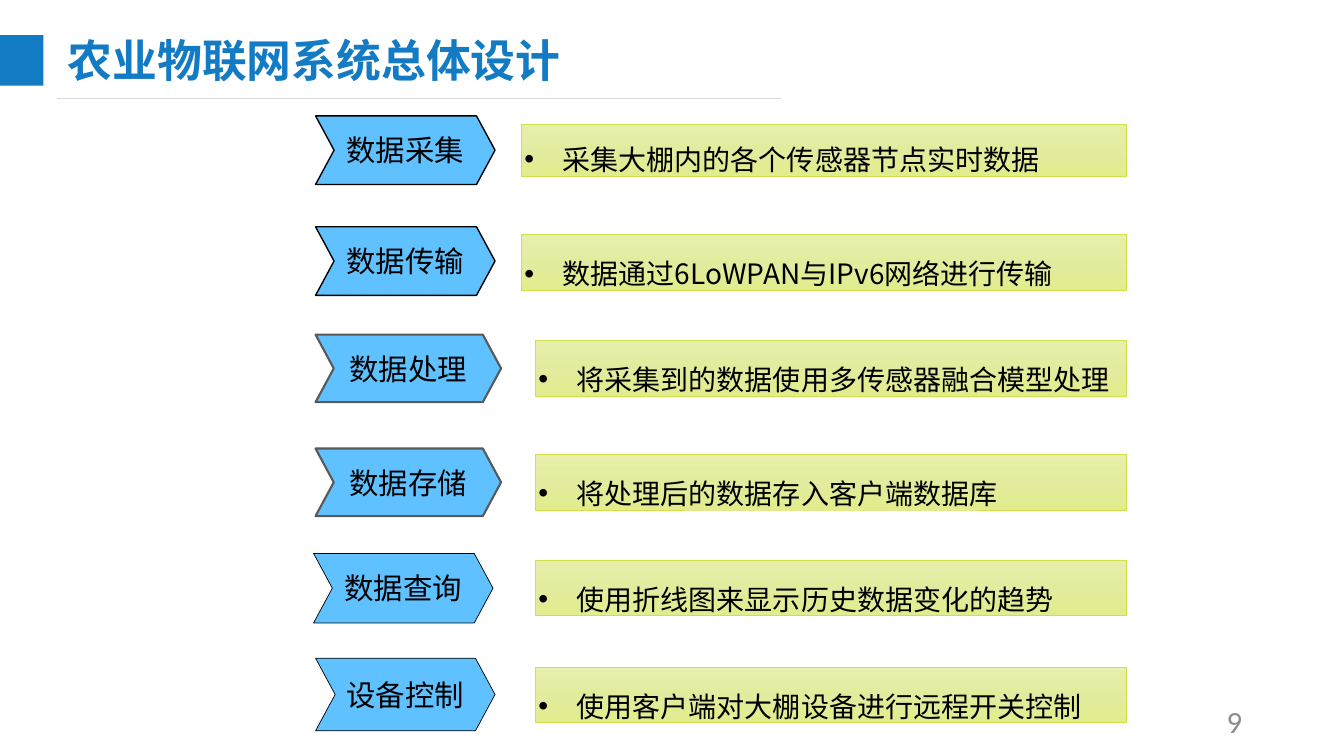
from copy import deepcopy

from lxml import etree
from pptx import Presentation
from pptx.dml.color import RGBColor
from pptx.enum.shapes import MSO_CONNECTOR, MSO_SHAPE
from pptx.enum.text import MSO_ANCHOR, MSO_AUTO_SIZE, PP_ALIGN
from pptx.oxml.ns import qn
from pptx.util import Inches, Pt

CHEVRON, RECTANGLE = MSO_SHAPE.CHEVRON, MSO_SHAPE.RECTANGLE
STRAIGHT = MSO_CONNECTOR.STRAIGHT
TOP, MIDDLE = MSO_ANCHOR.TOP, MSO_ANCHOR.MIDDLE
LEFT, CENTER, RIGHT = PP_ALIGN.LEFT, PP_ALIGN.CENTER, PP_ALIGN.RIGHT
NO_FIT = MSO_AUTO_SIZE.NONE

CJK_FONT = "Noto Sans CJK SC"
COLORS = {
    "title": "137AC4",
    "rule": "D9D9D9",
    "step": "5FC1FF",
    "black": "000000",
    "gray": "595959",
    "number": "8C8C8C",
    "detail_line": "D2DF4C",
}
DETAIL_GRADIENT = [(0, "E8EFAC"), (0.5, "E3EB9E"), (1, "E2EC8C")]

NARROW_STEP = (3.13, 1.78, 0.68, "black", 1)
WIDE_STEP = (3.13, 1.84, 0.67, "gray", 1.5)
LOW_STEP = (3.11, 1.78, 0.69, "black", 0.5)
TALL_STEP = (3.13, 1.78, 0.72, "black", 0.5)
FIRST_DETAIL = (5.17, 0.52, 1.4)
LONG_DETAIL = (5.17, 0.55, 1.5)
SHORT_DETAIL = (5.31, 0.55, 1.5)
DETAIL_RIGHT = 11.17
STAGES = [
    ("数据采集", 1.15, NARROW_STEP, "采集大棚内的各个传感器节点实时数据", 1.23, FIRST_DETAIL),
    ("数据传输", 2.25, NARROW_STEP, "数据通过6LoWPAN与IPv6网络进行传输", 2.33, LONG_DETAIL),
    ("数据处理", 3.32, WIDE_STEP, "将采集到的数据使用多传感器融合模型处理", 3.38, SHORT_DETAIL),
    ("数据存储", 4.45, WIDE_STEP, "将处理后的数据存入客户端数据库", 4.51, SHORT_DETAIL),
    ("数据查询", 5.49, LOW_STEP, "使用折线图来显示历史数据变化的趋势", 5.56, SHORT_DETAIL),
    ("设备控制", 6.53, TALL_STEP, "使用客户端对大棚设备进行远程开关控制", 6.62, SHORT_DETAIL),
]


def rgb(name):
    return RGBColor.from_string(COLORS[name])


def write_text(shape, text, size, color="black", font=CJK_FONT, bold=False, align=LEFT,
               anchor=TOP, insets=(0.1, 0.05), spacing=None, bullet_indent=None):
    frame = shape.text_frame
    frame.word_wrap = True
    frame.auto_size = NO_FIT
    frame.vertical_anchor = anchor
    frame.margin_left = frame.margin_right = Inches(insets[0])
    frame.margin_top = frame.margin_bottom = Inches(insets[1])
    paragraph = frame.paragraphs[0]
    paragraph.alignment = align
    if spacing:
        paragraph.line_spacing = spacing
    if bullet_indent:
        properties = paragraph._p.get_or_add_pPr()
        properties.set("marL", str(Inches(bullet_indent)))
        properties.set("indent", str(-Inches(bullet_indent)))
        etree.SubElement(properties, qn("a:buFont")).set("typeface", "Arial")
        etree.SubElement(properties, qn("a:buChar")).set("char", "•")
    run = paragraph.add_run()
    run.text = text
    run.font.size = Pt(size)
    run.font.bold = bold
    run.font.color.rgb = rgb(color)
    run.font.name = font
    east_asian = etree.SubElement(run._r.get_or_add_rPr(), qn("a:ea"))
    east_asian.set("typeface", font)


def add_block(slide, kind, left, top, width, height, fill=None, line=None, line_width=0.5):
    shape = slide.shapes.add_shape(kind, Inches(left), Inches(top), Inches(width), Inches(height))
    shape.shadow.inherit = False
    if fill:
        shape.fill.solid()
        shape.fill.fore_color.rgb = rgb(fill)
    if line:
        shape.line.color.rgb = rgb(line)
        shape.line.width = Pt(line_width)
    else:
        shape.line.fill.background()
    return shape


def fill_gradient(shape, stops):
    shape.fill.gradient()
    shape.fill.gradient_angle = 270
    stop_list = shape._element.spPr.find(".//" + qn("a:gsLst"))
    stop_list.append(deepcopy(stop_list[0]))
    for stop, (position, color) in zip(shape.fill.gradient_stops, stops):
        stop.position = position
        stop.color.rgb = RGBColor.from_string(color)


def add_step(slide, text, top, style):
    left, width, height, line, line_width = style
    shape = add_block(slide, CHEVRON, left, top, width, height, "step", line, line_width)
    shape.adjustments[0] = 0.27
    write_text(shape, text, 21, align=CENTER, anchor=MIDDLE, insets=(0.07, 0.04))


def add_detail(slide, text, top, style):
    left, height, spacing = style
    shape = add_block(slide, RECTANGLE, left, top, DETAIL_RIGHT - left, height, line="detail_line")
    fill_gradient(shape, DETAIL_GRADIENT)
    write_text(shape, text, 20, insets=(0.03, 0.05), spacing=spacing, bullet_indent=0.38)


def add_heading(slide, text):
    title = slide.shapes.title
    title.left, title.top = Inches(0.57), Inches(0.27)
    title.width, title.height = Inches(5.98), Inches(0.64)
    write_text(title, text, 32, "title", bold=True)
    rule = slide.shapes.add_connector(STRAIGHT, Inches(0.57), Inches(0.98), Inches(7.75), Inches(0.98))
    rule.line.color.rgb = rgb("rule")
    rule.line.width = Pt(0.5)
    etree.SubElement(rule._element.spPr, qn("a:effectLst"))
    add_block(slide, RECTANGLE, 0, 0.35, 0.43, 0.5, "title")


def add_page_number(slide, number):
    box = slide.shapes.add_textbox(Inches(9.42), Inches(6.95), Inches(3), Inches(0.4))
    write_text(box, number, 22, "number", font="Calibri", align=RIGHT, anchor=MIDDLE)


def main():
    presentation = Presentation()
    presentation.slide_width, presentation.slide_height = Inches(13.33), Inches(7.5)
    slide = presentation.slides.add_slide(presentation.slide_layouts[5])
    add_heading(slide, "农业物联网系统总体设计")
    for step, step_top, step_style, detail, detail_top, detail_style in STAGES:
        add_step(slide, step, step_top, step_style)
        add_detail(slide, detail, detail_top, detail_style)
    add_page_number(slide, "9")
    presentation.save("out.pptx")


if __name__ == "__main__":
    main()
